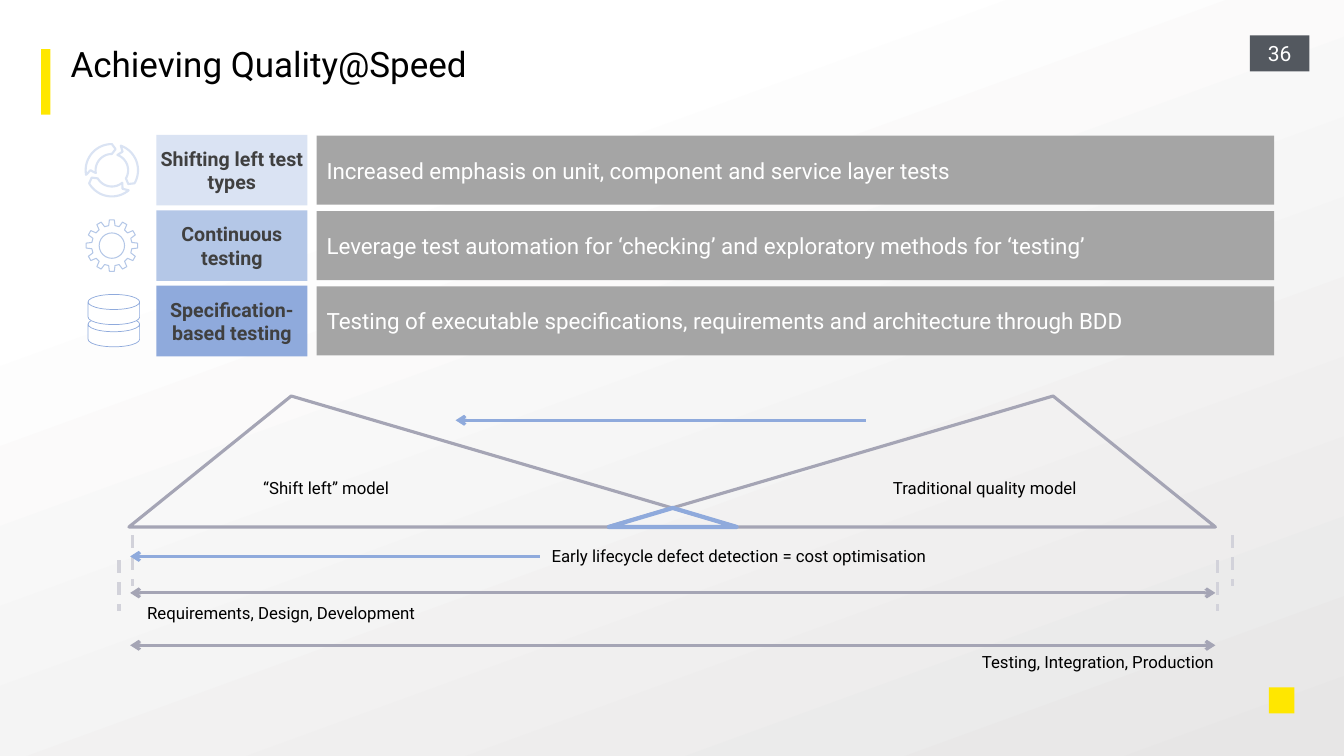
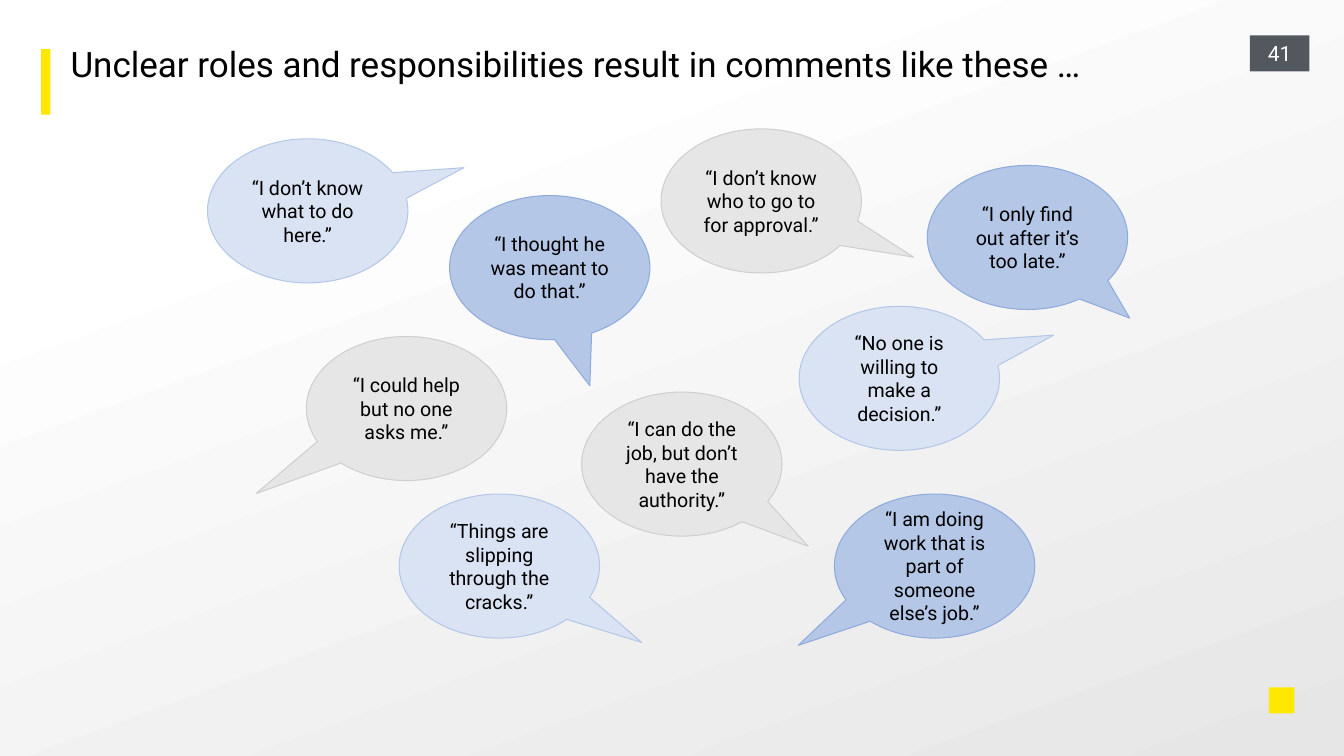
from math import cos, radians, sin

from pptx import Presentation
from pptx.dml.color import RGBColor
from pptx.enum.dml import MSO_LINE
from pptx.enum.shapes import MSO_CONNECTOR, MSO_SHAPE
from pptx.enum.text import MSO_ANCHOR, MSO_AUTO_SIZE, PP_ALIGN
from pptx.oxml.ns import qn
from pptx.util import Cm, Pt

LEFT, CENTER, RIGHT = PP_ALIGN.LEFT, PP_ALIGN.CENTER, PP_ALIGN.RIGHT
TOP, MIDDLE = MSO_ANCHOR.TOP, MSO_ANCHOR.MIDDLE
RECTANGLE, OVAL, CAN = MSO_SHAPE.RECTANGLE, MSO_SHAPE.OVAL, MSO_SHAPE.CAN
TRIANGLE, CALLOUT = MSO_SHAPE.ISOSCELES_TRIANGLE, MSO_SHAPE.OVAL_CALLOUT
STRAIGHT, DASH, NO_FIT = MSO_CONNECTOR.STRAIGHT, MSO_LINE.DASH, MSO_AUTO_SIZE.NONE

FONT = "Roboto"
BLACK = RGBColor(0x00, 0x00, 0x00)
WHITE = RGBColor(0xFF, 0xFF, 0xFF)
YELLOW = RGBColor(0xFF, 0xE7, 0x00)
SLATE = RGBColor(0x53, 0x58, 0x5F)
CHARCOAL = RGBColor(0x40, 0x40, 0x40)
GREY = RGBColor(0xA5, 0xA5, 0xA5)
SILVER = RGBColor(0xD0, 0xCE, 0xCE)
PALE_GREY = RGBColor(0xE7, 0xE6, 0xE6)
MAUVE = RGBColor(0xA5, 0xA5, 0xB5)
PALE_MAUVE = RGBColor(0xD2, 0xD2, 0xDA)
PALE_BLUE = RGBColor(0xDA, 0xE3, 0xF3)
LIGHT_BLUE = RGBColor(0xB4, 0xC7, 0xE7)
BLUE = RGBColor(0x8F, 0xAA, 0xDC)

# All positions and sizes below are in centimetres.
PRACTICES = [
    ("Shifting left test types", PALE_BLUE,
     "Increased emphasis on unit, component and service layer tests"),
    ("Continuous testing", LIGHT_BLUE,
     "Leverage test automation for ‘checking’ and exploratory methods for ‘testing’"),
    ("Specification-based testing", BLUE,
     "Testing of executable specifications, requirements and architecture through BDD"),
]
FIRST_ROW_Y, ROW_STEP, ICON_X = 4.29, 1.9, 2.82

MODEL_LABELS = [  # text, left, top, width, alignment
    ("Requirements, Design, Development", 3.63, 14.96, 11.02, LEFT),
    ("Testing, Integration, Production", 19.66, 16.18, 11.02, RIGHT),
    ("“Shift left” model", 5.03, 11.81, 6.38, CENTER),
    ("Traditional quality model", 21.34, 11.81, 6.96, CENTER),
    ("Early lifecycle defect detection = cost optimisation", 13.82, 13.51, 11.02, LEFT),
]
LIMITS = [(3.35, 13.49), (31.06, 13.49), (3, 14.12), (30.68, 14.12)]
LIMIT_HEIGHT = 1.28
ARROWS = [  # left, right, y, colour, ends with an arrowhead
    (3.28, 30.63, 14.94, MAUVE, ("headEnd", "tailEnd")),
    (3.28, 30.63, 16.26, MAUVE, ("headEnd", "tailEnd")),
    (11.48, 21.82, 10.59, BLUE, ("headEnd",)),
    (3.28, 13.61, 14.02, BLUE, ("headEnd",)),
]
SHIFT_LEFT_MODEL = [(3.25, 13.28), (7.34, 9.98), (18.57, 13.28)]
MODELS_WIDTH = 33.88  # left edge of one model plus right edge of the other

CALLOUT_WIDTH, CALLOUT_HEIGHT = 5.05, 3.63
CALLOUT_STYLES = {
    "pale": (PALE_BLUE, LIGHT_BLUE),
    "grey": (PALE_GREY, SILVER),
    "blue": (LIGHT_BLUE, BLUE),
}
COMMENTS = [  # text, style, left, top, tip of the tail
    ("“I don’t know what to do here.”", "pale", 5.23, 3.5, (0.78, -0.3)),
    ("“I don’t know who to go to for approval.”", "grey", 16.66, 3.25, (0.76, 0.39)),
    ("“I could help but no one asks me.”", "grey", 7.72, 8.48, (-0.75, 0.59)),
    ("“I only find out after it’s too late.”", "blue", 23.37, 4.17, (0.51, 0.56)),
    ("“I can do the job, but don’t have the authority.”", "grey", 14.66, 9.88, (0.63, 0.57)),
    ("“No one is willing to make a decision.”", "pale", 20.14, 7.72, (0.77, -0.3)),
    ("“Things are slipping through the cracks.”", "pale", 10.06, 12.45, (0.71, 0.53)),
    ("“I am doing work that is part of someone else’s job.”", "blue", 21.03, 12.45, (-0.68, 0.55)),
    ("“I thought he was meant to do that.”", "blue", 11.33, 4.93, (0.2, 0.82)),
]


def paint(shape, fill=None, line=None, weight=0.75):
    shape.shadow.inherit = False
    if fill is None:
        shape.fill.background()
    else:
        shape.fill.solid()
        shape.fill.fore_color.rgb = fill
    if line is None:
        shape.line.fill.background()
    else:
        shape.line.color.rgb = line
        shape.line.width = Pt(weight)


def write(shape, text, size, color=BLACK, align=LEFT, bold=False,
          anchor=MIDDLE, insets=(0.25, 0.13)):
    frame = shape.text_frame
    frame.text = text
    frame.word_wrap = True
    frame.auto_size = NO_FIT
    frame.vertical_anchor = anchor
    frame.margin_left = frame.margin_right = Cm(insets[0])
    frame.margin_top = frame.margin_bottom = Cm(insets[1])
    para = frame.paragraphs[0]
    para.alignment = align
    for span in para.runs:
        span.font.name = FONT
        span.font.size = Pt(size)
        span.font.bold = bold
        span.font.color.rgb = color


def add_box(page, kind, left, top, width, height, fill=None, line=None, weight=0.75):
    box = page.shapes.add_shape(kind, Cm(left), Cm(top), Cm(width), Cm(height))
    paint(box, fill, line, weight)
    return box


def add_outline(page, points, line, weight):
    corners = [(Cm(x), Cm(y)) for x, y in points]
    builder = page.shapes.build_freeform(*corners[0])
    builder.add_line_segments(corners[1:], close=True)
    paint(builder.convert_to_shape(), line=line, weight=weight)


def add_line(page, start, end, color, dash=None, arrowheads=()):
    line = page.shapes.add_connector(
        STRAIGHT, Cm(start[0]), Cm(start[1]), Cm(end[0]), Cm(end[1]))
    line.line.color.rgb = color
    line.line.width = Pt(2.25)
    if dash is not None:
        line.line.dash_style = dash
    properties = line._element.spPr
    stroke = properties.find(qn("a:ln"))
    for name in arrowheads:
        stroke.makeelement(qn("a:" + name), {"type": "arrow"})
        stroke.append(stroke.makeelement(qn("a:" + name), {"type": "arrow"}))
    properties.append(properties.makeelement(qn("a:effectLst"), {}))


def polar(x, y, radius, angle):
    return x + radius * cos(radians(angle)), y + radius * sin(radians(angle))


def draw_cycle(page, x, y, color):
    """Ring of three bands, each with a pointed front and a notched back."""
    inner, middle, outer = 0.41, 0.54, 0.66
    for start in (50, 170, 290):
        sweep = range(start, start + 101, 5)
        band = [polar(x, y, outer, angle) for angle in sweep]
        band.append(polar(x, y, middle, start + 110))
        band += [polar(x, y, inner, angle) for angle in reversed(sweep)]
        band.append(polar(x, y, middle, start + 10))
        add_outline(page, band, color, 1.5)


def draw_gear(page, x, y, color):
    tooth = [(-9, 0.51), (-5.5, 0.65), (5.5, 0.65), (9, 0.51)]
    rim = [polar(x, y, radius, angle + offset)
           for angle in range(0, 360, 30) for offset, radius in tooth]
    add_outline(page, rim, color, 0.75)
    add_box(page, OVAL, x - 0.32, y - 0.32, 0.64, 0.64, line=color)


def draw_database(page, x, y, color):
    for top in (y - 0.11, y - 0.67):
        drum = add_box(page, CAN, x - 0.6, top, 1.3, 0.76, WHITE, color, 0.5)
        drum.adjustments[0] = 0.5


def add_page(deck, title, number):
    """Add a title-only slide with the accent bar, number box and corner mark."""
    page = deck.slides.add_slide(deck.slide_layouts[5])
    heading = page.shapes.title
    heading.left, heading.top = Cm(1.78), Cm(1.24)
    heading.width, heading.height = Cm(29.74), Cm(1.63)
    write(heading, title, 25, anchor=TOP, insets=(0, 0))
    heading.text_frame.paragraphs[0].line_spacing = 0.85
    add_box(page, RECTANGLE, 1.04, 1.24, 0.23, 1.65, YELLOW)
    number_box = add_box(page, RECTANGLE, 31.5, 0.89, 1.5, 0.91, SLATE)
    write(number_box, number, 15, WHITE, CENTER, insets=(0.15, 0.15))
    add_box(page, RECTANGLE, 31.98, 17.32, 0.64, 0.66, YELLOW)
    return page


def build_quality_page(deck):
    page = add_page(deck, "Achieving Quality@Speed", "36")
    icons = (draw_cycle, draw_gear, draw_database)
    for row, ((name, color, detail), draw_icon) in enumerate(zip(PRACTICES, icons)):
        y = FIRST_ROW_Y + row * ROW_STEP
        draw_icon(page, ICON_X, y, color)
        name_box = add_box(page, RECTANGLE, 3.94, y - 0.89, 3.81, 1.78, color)
        write(name_box, name, 14, CHARCOAL, CENTER, bold=True, insets=(0.1, 0.1))
        detail_box = add_box(page, RECTANGLE, 7.98, y - 0.87, 24.13, 1.74, GREY)
        write(detail_box, detail, 16, WHITE)

    for text, left, top, width, align in MODEL_LABELS:
        label = page.shapes.add_textbox(Cm(left), Cm(top), Cm(width), Cm(0.97))
        write(label, text, 12, align=align, insets=(0.08, 0.08))
    for x, top in LIMITS:
        add_line(page, (x, top), (x, top + LIMIT_HEIGHT), PALE_MAUVE, dash=DASH)
    for left, right, y, color, arrowheads in ARROWS:
        add_line(page, (left, y), (right, y), color, arrowheads=arrowheads)
    traditional_model = [(MODELS_WIDTH - x, y) for x, y in SHIFT_LEFT_MODEL]
    for model in (SHIFT_LEFT_MODEL, traditional_model):
        add_outline(page, model, MAUVE, 2.25)
    add_box(page, TRIANGLE, 15.34, 12.8, 3.23, 0.48, line=BLUE, weight=3)


def build_comments_page(deck):
    page = add_page(
        deck, "Unclear roles and responsibilities result in comments like these …", "41")
    for text, style, left, top, tip in COMMENTS:
        bubble = add_box(page, CALLOUT, left, top, CALLOUT_WIDTH, CALLOUT_HEIGHT,
                         *CALLOUT_STYLES[style])
        bubble.adjustments[0], bubble.adjustments[1] = tip
        write(bubble, text, 14, align=CENTER)


def set_background(deck):
    fill = deck.slide_master.background.fill
    fill.gradient()
    fill.gradient_angle = 290
    for stop, position, color in zip(fill.gradient_stops, (0.23, 1), (WHITE, PALE_GREY)):
        stop.position = position
        stop.color.rgb = color


def main():
    deck = Presentation()
    deck.slide_width, deck.slide_height = Cm(33.87), Cm(19.05)
    set_background(deck)
    build_quality_page(deck)
    build_comments_page(deck)
    deck.save("out.pptx")


if __name__ == "__main__":
    main()
